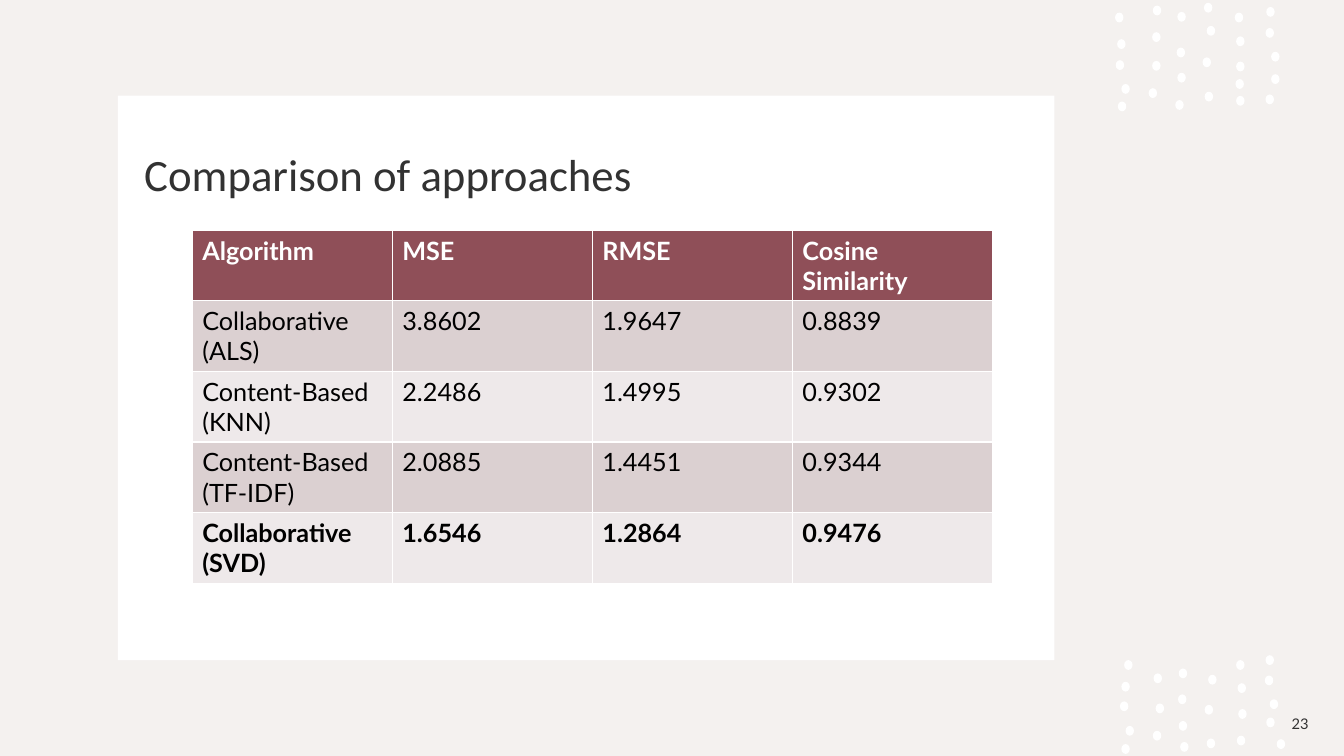
"""Build the slide that compares recommendation algorithms in a table."""
import pptx
import pptx.dml.color
import pptx.enum.shapes
import pptx.enum.text
import pptx.util

Pt = pptx.util.Pt
RGBColor = pptx.dml.color.RGBColor
PP_ALIGN = pptx.enum.text.PP_ALIGN
ANCHOR = pptx.enum.text.MSO_ANCHOR
SHAPE = pptx.enum.shapes.MSO_SHAPE

TITLE = "Comparison of approaches"
PAGE_NUMBER = "23"
ROWS = [
    ("Algorithm", "MSE", "RMSE", "Cosine Similarity"),
    ("Collaborative (ALS)", "3.8602", "1.9647", "0.8839"),
    ("Content-Based (KNN)", "2.2486", "1.4995", "0.9302"),
    ("Content-Based (TF-IDF)", "2.0885", "1.4451", "0.9344"),
    ("Collaborative (SVD)", "1.6546", "1.2864", "0.9476"),
]
TOP_DOTS = [
    (799.5, 12.5), (801, 31.5), (800, 46.5), (804, 63.5), (801.5, 76),
    (826.5, 7.5), (826, 26.5), (826, 47), (823.5, 66.5),
    (844, 12), (843.5, 37.5), (844, 55.5), (842.5, 75),
    (863, 5.5), (865, 22), (862, 44.5), (863.5, 69),
    (885, 12.5), (886, 29.5), (886, 47.5), (885.5, 60), (886, 72),
    (907.5, 8.5), (907, 23.5), (911, 40.5), (911, 56.5), (907, 71),
]
BOTTOM_DOTS = [
    (806, 475), (804, 490.5), (803, 504.5), (807, 522), (804, 535),
    (827, 484.5), (828.5, 506), (826.5, 525.5),
    (845, 481), (844.5, 499.5), (845, 518.5), (846, 533.5),
    (866, 485.5), (863.5, 507), (865, 531),
    (886, 475), (887, 491.5), (887.5, 510), (886.5, 529),
    (907, 471.5), (906.5, 486), (910, 503), (907.5, 516), (915, 531.5),
]

WHITE = RGBColor(0xFF, 0xFF, 0xFF)
BLACK = RGBColor(0x00, 0x00, 0x00)
CREAM = RGBColor(0xF4, 0xF1, 0xEF)
CHARCOAL = RGBColor(0x32, 0x32, 0x32)
WINE = RGBColor(0x8F, 0x4F, 0x58)
DARK_BAND = RGBColor(0xDB, 0xD0, 0xD1)
LIGHT_BAND = RGBColor(0xEE, 0xE9, 0xEA)

DOT_W, DOT_H = 6, 7
TABLE_LEFT, TABLE_TOP = 137.3, 164.4
COL_W, ROW_H = 142.9, 50.4


def set_text(tf, text, size=18, font="Lato", color=BLACK, bold=False,
             align=PP_ALIGN.LEFT, anchor=ANCHOR.TOP):
    tf.word_wrap = True
    tf.vertical_anchor = anchor
    p = tf.paragraphs[0]
    p.alignment = align
    r = p.add_run()
    r.text = text
    r.font.size = Pt(size)
    r.font.name = font
    r.font.color.rgb = color
    r.font.bold = bold


def add_solid(s, kind, left, top, width, height):
    sp = s.shapes.add_shape(kind, Pt(left), Pt(top), Pt(width), Pt(height))
    sp.shadow.inherit = False
    sp.fill.solid()
    sp.fill.fore_color.rgb = WHITE
    sp.line.fill.background()


def add_results_table(s):
    n_rows, n_cols = len(ROWS), len(ROWS[0])
    table = s.shapes.add_table(
        n_rows, n_cols, Pt(TABLE_LEFT), Pt(TABLE_TOP),
        Pt(n_cols * COL_W), Pt(n_rows * ROW_H)).table
    for i, row in enumerate(ROWS):
        header = i == 0
        band = WINE if header else DARK_BAND if i % 2 else LIGHT_BAND
        for j, text in enumerate(row):
            cell = table.cell(i, j)
            cell.fill.solid()
            cell.fill.fore_color.rgb = band
            set_text(cell.text_frame, text, color=WHITE if header else BLACK,
                     bold=i in (0, n_rows - 1))


def main():
    prs = pptx.Presentation()
    prs.slide_width, prs.slide_height = Pt(960), Pt(540)
    s = prs.slides.add_slide(prs.slide_layouts[5])
    s.background.fill.solid()
    s.background.fill.fore_color.rgb = CREAM

    add_solid(s, SHAPE.RECTANGLE, 84.2, 68.4, 668.9, 403.2)
    for x, y in TOP_DOTS + BOTTOM_DOTS:
        add_solid(s, SHAPE.OVAL, x - DOT_W / 2, y - DOT_H / 2, DOT_W, DOT_H)

    title = s.shapes.title
    title.element.getparent().append(title.element)
    title.left, title.top = Pt(95.8), Pt(83.3)
    title.width, title.height = Pt(581), Pt(81.4)
    set_text(title.text_frame, TITLE, size=32, font="Calibri", color=CHARCOAL,
             anchor=ANCHOR.MIDDLE)

    add_results_table(s)

    number = s.shapes.add_textbox(Pt(902.2), Pt(502.6), Pt(39.6), Pt(28.8))
    set_text(number.text_frame, PAGE_NUMBER, size=10.5, color=CHARCOAL,
             align=PP_ALIGN.RIGHT, anchor=ANCHOR.MIDDLE)
    prs.save("out.pptx")


if __name__ == "__main__":
    main()
